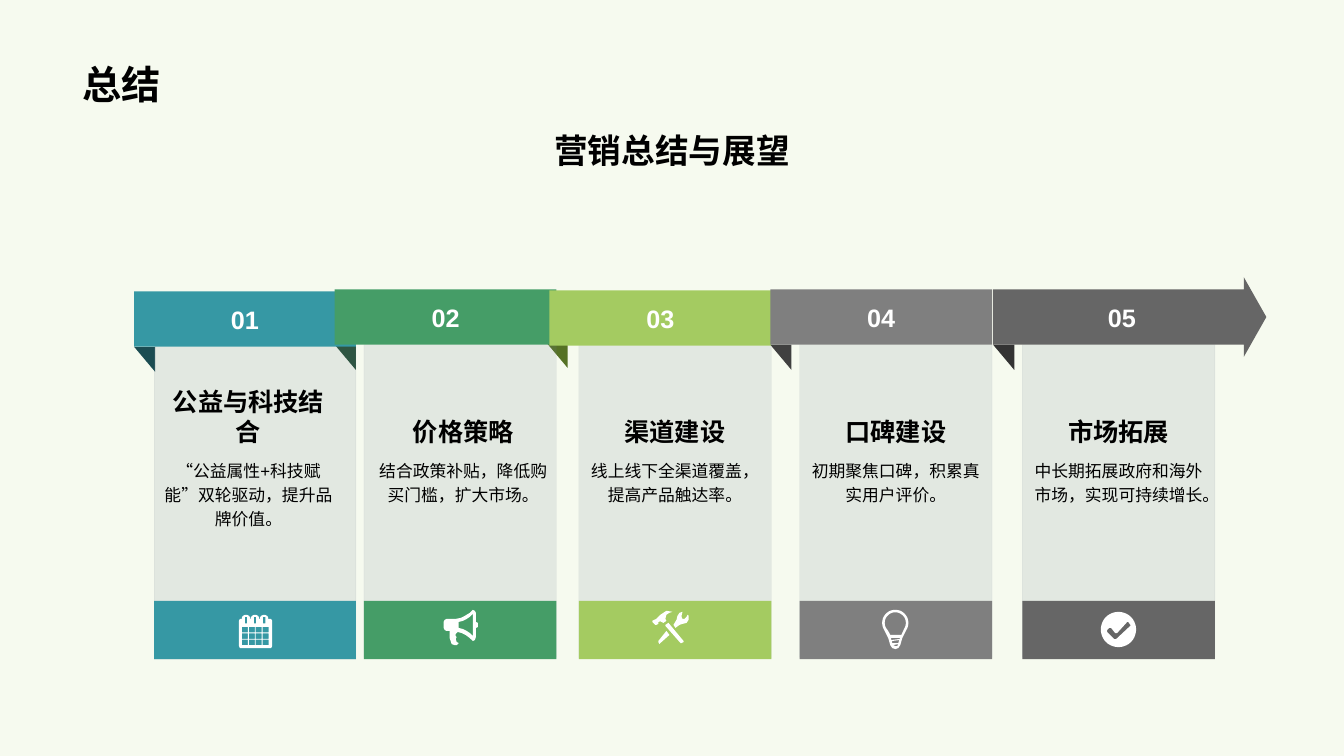
"""Builds the marketing summary slide: five steps along an arrow band."""
from math import cos, radians, sin

from lxml.etree import SubElement
from pptx import Presentation
from pptx.dml.color import RGBColor
from pptx.enum.shapes import MSO_SHAPE as Preset
from pptx.enum.text import MSO_ANCHOR as Anchor, PP_ALIGN as Align
from pptx.oxml.ns import qn
from pptx.util import Inches, Pt


def box(x, y, w, h):
    return [(x, y), (x, y + h), (x + w, y + h), (x + w, y)]


def arc(cx, cy, radius, start=0, end=360, steps=40):
    angles = [radians(start + (end - start) * i / steps) for i in range(steps + 1)]
    return [(cx + radius * cos(a), cy + radius * sin(a)) for a in angles]


def ring(x):
    return [(x, 4), (x, 2.5), (x + 1, 1), (x + 3, 0), (x + 5, 0),
            (x + 7, 1), (x + 8, 2.5), (x + 8, 4)]


RING_LEFTS = (3, 12, 21)
CALENDAR = [
    [(0, 6), (1, 4)] + [point for x in RING_LEFTS for point in ring(x)]
    + [(32, 4), (33, 6), (33, 31), (32, 33), (1, 33), (0, 31)],
    *[box(x + 2.8, 2, 2.4, 6.5) for x in RING_LEFTS],
    *[box(3 + 6.8 * col, 12 + 6.3 * row, 6, 5.5) for col in range(4) for row in range(3)],
]
MEGAPHONE = [
    [(34, 15), (34, 17), (32, 18), (32, 27), (31, 30), (29, 31), (26, 28), (22, 25),
     (18, 23), (14, 22), (12, 24), (12, 26), (13, 27), (12, 29), (13, 32), (15, 33),
     (13, 35), (11, 35), (8, 34), (7, 31), (6, 28), (6, 21), (3, 21), (1, 20), (0, 18),
     (0, 12), (1, 10), (3, 9), (12, 9), (17, 8), (21, 6), (26, 3), (29, 0), (31, 1),
     (32, 3), (32, 12), (34, 13)],
    [(29, 4), (26, 7), (23, 9), (19, 11), (15, 12), (15, 18), (19, 19), (23, 21),
     (26, 23), (29, 26)],
]
TOOLS = [
    [(6, 11), (8, 10.5), (11, 12), (14, 10), (13, 8), (14, 4), (17, 2), (20, 1), (14, 0),
     (8, 4), (6, 6), (4, 8), (2, 9), (0, 10), (0, 11), (3, 14), (4, 14), (6, 13)],
    [(16, 12), (13, 14), (13, 15), (28, 32), (29, 32), (31, 31), (31, 30)],
    [(36, 5), (35, 4), (34, 6), (32, 8), (30, 8), (29, 6), (29, 5), (30, 1), (27, 2),
     (25, 5), (24, 9), (21, 14), (23, 17), (27, 14), (30, 13), (34, 12), (36, 9)],
    [(6, 30), (6, 31), (7, 33), (8, 32), (17, 24), (14, 20)],
]
BULB = [
    arc(13, 13, 13, 150, 390) + [(20, 28), (18, 35), (16, 38), (13, 39), (10, 38), (8, 35), (6, 28)],
    arc(13, 13, 10.5, 150, 390) + [(19, 25), (8, 25), (6, 21)],
    [(9, 28), (9, 30), (17, 29), (18, 28)],
    [(10, 31), (10, 33), (16, 33), (17, 30)],
    [(11, 35), (13, 36), (15, 36), (16, 34)],
]
CHECK = [
    arc(17.3, 17.5, 17.5),
    [(29.5, 13.5), (27, 10), (26, 10), (16, 21), (14, 21), (10, 16), (8, 16), (6, 18),
     (6, 20), (13, 27), (15, 27)],
]

TITLE = "总结"
SUBTITLE = "营销总结与展望"
STEPS = [
    dict(number="01", heading="公益与科技结合", text="“公益属性+科技赋能”双轮驱动，提升品牌价值。",
         colour="3698A4", fold="1B4C52", left=1.33, top=2.89, card_width=2.0,
         text_left=1.53, fold_shift=0, icon=CALENDAR, icon_at=(2.37, 6.1)),
    dict(number="02", heading="价格策略", text="结合政策补贴，降低购买门槛，扩大市场。",
         colour="459D67", fold="224E34", left=3.32, top=2.87, card_width=1.91,
         text_left=3.66, fold_shift=0, icon=MEGAPHONE, icon_at=(4.4, 6.05)),
    dict(number="03", heading="渠道建设", text="线上线下全渠道覆盖，提高产品触达率。",
         colour="A4CB61", fold="557125", left=5.45, top=2.88, card_width=1.91,
         text_left=5.76, fold_shift=-0.03, icon=TOOLS, icon_at=(6.47, 6.06)),
    dict(number="04", heading="口碑建设", text="初期聚焦口碑，积累真实用户评价。",
         colour="7F7F7F", fold="404040", left=7.64, top=2.87, card_width=1.91,
         text_left=7.95, fold_shift=0, icon=BULB, icon_at=(8.75, 6.05)),
    dict(number="05", heading="市场拓展", text="中长期拓展政府和海外市场，实现可持续增长。",
         colour="666666", fold="333333", left=9.85, top=2.87, card_width=1.91,
         text_left=10.16, fold_shift=0, icon=CHECK, icon_at=(10.92, 6.07)),
]
BAND_WIDTH, BAND_HEIGHT = 2.2, 0.55
ARROW_WIDTH, ARROW_HEIGHT = 2.71, 0.79
CARD_HEIGHT, FOOT_TOP, FOOT_HEIGHT = 3.1, 5.96, 0.58
HEADING_TOP, HEADING_HEIGHT, TEXT_HEIGHT, TEXT_WIDTH = 3.81, 0.67, 1.21, 1.87
FOLD = [(0, 0), (21, 0), (21, 25)]
BACKGROUND, CARD, BLACK, WHITE = "F6FAEF", "768394", "000000", "FFFFFF"

deck = Presentation()
deck.slide_width, deck.slide_height = Inches(13.33), Inches(7.5)
slide = deck.slides.add_slide(deck.slide_layouts[5])


def paint(fill, colour):
    fill.solid()
    fill.fore_color.rgb = RGBColor.from_string(colour)


def write(shape, words, size, colour=BLACK, bold=False, align=Align.CENTER,
          anchor=Anchor.TOP, spacing=1.0):
    frame = shape.text_frame
    frame.word_wrap = True
    frame.vertical_anchor = anchor
    paragraph = frame.paragraphs[0]
    paragraph.alignment = align
    paragraph.line_spacing = spacing
    run = paragraph.add_run()
    run.text = words
    run.font.name, run.font.size, run.font.bold = "Arial", Pt(size), bold
    run.font.color.rgb = RGBColor.from_string(colour)


def add_text(left, top, width, height, words, size, **style):
    write(slide.shapes.add_textbox(*map(Inches, (left, top, width, height))),
          words, size, **style)


def add_block(left, top, width, height, colour, preset=Preset.RECTANGLE):
    block = slide.shapes.add_shape(preset, *map(Inches, (left, top, width, height)))
    block.shadow.inherit = False
    paint(block.fill, colour)
    block.line.fill.background()
    return block


def add_outline(left, top, contours, colour):
    scaled = [[(round(x * 10), round(y * 10)) for x, y in points] for points in contours]
    builder = slide.shapes.build_freeform(*scaled[0][0], scale=Inches(0.001))
    for index, points in enumerate(scaled):
        if index:
            builder.move_to(*points[0])
        builder.add_line_segments(points[1:], close=True)
    outline = builder.convert_to_shape(Inches(left), Inches(top))
    outline.shadow.inherit = False
    paint(outline.fill, colour)
    outline.line.fill.background()


def add_card(left, top, width):
    card = add_block(left, top, width, CARD_HEIGHT, CARD)
    paint(card.line.fill, CARD)
    card.line.width = Pt(0.25)
    for tint in card._element.spPr.iter(qn("a:srgbClr")):
        SubElement(tint, qn("a:alpha")).set("val", "15000")


def add_band(step, is_last):
    left, top = step["left"], step["top"]
    if is_last:
        band = add_block(left, top - (ARROW_HEIGHT - BAND_HEIGHT) / 2, ARROW_WIDTH,
                         ARROW_HEIGHT, step["colour"], Preset.RIGHT_ARROW)
        band.adjustments[0], band.adjustments[1] = 0.695, 0.283
    else:
        band = add_block(left, top, BAND_WIDTH, BAND_HEIGHT, step["colour"])
    write(band, step["number"], 18, colour=WHITE, bold=True, anchor=Anchor.MIDDLE)


def add_step(step, is_last):
    card_left = step["left"] + BAND_WIDTH - step["card_width"]
    add_card(card_left, step["top"] + BAND_HEIGHT, step["card_width"])
    add_band(step, is_last)
    add_block(card_left, FOOT_TOP, step["card_width"], FOOT_HEIGHT, step["colour"])
    add_outline(*step["icon_at"], step["icon"], WHITE)
    add_text(step["text_left"], HEADING_TOP + HEADING_HEIGHT, TEXT_WIDTH, TEXT_HEIGHT,
             step["text"], 12, spacing=1.2)
    add_text(step["text_left"], HEADING_TOP, TEXT_WIDTH, HEADING_HEIGHT,
             step["heading"], 18, bold=True, anchor=Anchor.BOTTOM)


paint(slide.background.fill, BACKGROUND)
title = slide.shapes.title
title.left, title.top, title.width, title.height = map(Inches, (0.72, 0.14, 11.88, 0.98))
write(title, TITLE, 28, bold=True, align=Align.LEFT, anchor=Anchor.BOTTOM)
for step in STEPS:
    shift = step["fold_shift"]
    add_outline(step["left"] + shift, step["top"] + BAND_HEIGHT + shift, [FOLD], step["fold"])
add_text(0.8, 1.24, 11.73, 1.42, SUBTITLE, 24, bold=True)
for step in STEPS:
    add_step(step, step is STEPS[-1])
deck.save("out.pptx")
